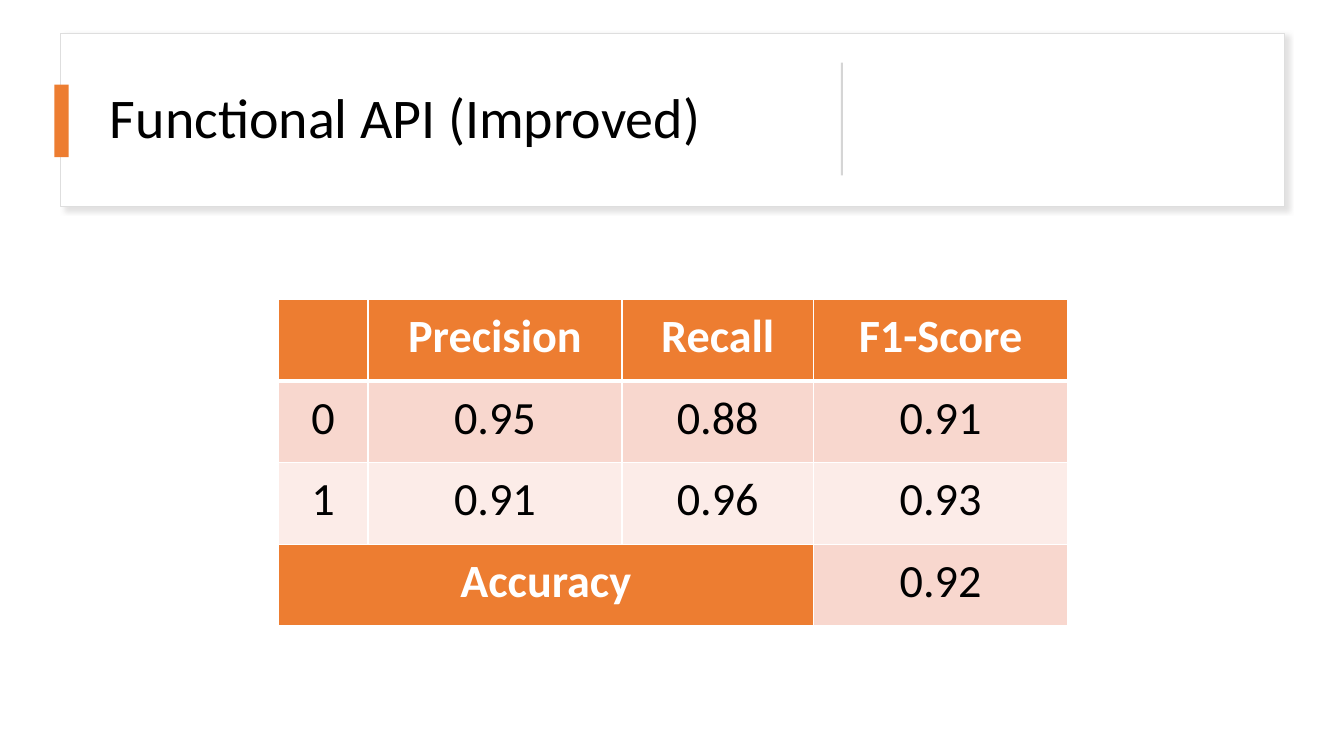
from lxml import etree
from pptx import Presentation
from pptx.dml.color import RGBColor
from pptx.enum.shapes import MSO_SHAPE
from pptx.enum.text import MSO_ANCHOR, MSO_AUTO_SIZE, PP_ALIGN
from pptx.oxml import parse_xml
from pptx.oxml.ns import nsdecls, qn
from pptx.util import Inches, Pt

RECTANGLE = MSO_SHAPE.RECTANGLE
MIDDLE, TOP = MSO_ANCHOR.MIDDLE, MSO_ANCHOR.TOP
NO_AUTOFIT = MSO_AUTO_SIZE.NONE
LEFT, CENTER = PP_ALIGN.LEFT, PP_ALIGN.CENTER

WHITE = RGBColor(0xFF, 0xFF, 0xFF)
BLACK = RGBColor(0x00, 0x00, 0x00)
ORANGE = RGBColor(0xED, 0x7D, 0x31)
ROSE = RGBColor(0xF8, 0xD7, 0xCE)
PALE_ROSE = RGBColor(0xFC, 0xEC, 0xE8)
CARD_EDGE = RGBColor(0xDE, 0xDE, 0xDE)
DIVIDER_GREY = RGBColor(0xD5, 0xD5, 0xD5)
SHADOW_GREY = RGBColor(0xC5, 0xC3, 0xC3)

TITLE_ONLY = 5


def write(frame, text, *, font, size, color=BLACK, bold=False, align=LEFT):
    paragraph = frame.paragraphs[0]
    paragraph.alignment = align
    run = paragraph.add_run()
    run.text = text
    run.font.name = font
    run.font.size = Pt(size)
    run.font.bold = bold
    run.font.color.rgb = color
    return paragraph


def add_border(cell, position, side, width):
    """Insert a white border; borders must come before the cell's fill."""
    border = parse_xml(
        f'<a:{side} {nsdecls("a")} w="{Pt(width)}"><a:solidFill>'
        f'<a:srgbClr val="{WHITE}"/></a:solidFill></a:{side}>')
    cell._tc.get_or_add_tcPr().insert(position, border)


class SlideBuilder:
    font = "Calibri"
    title_size = 40
    table_size = 33

    def __init__(self, slide):
        self.slide = slide

    def title(self, text, left, top, width, height):
        title = self.slide.shapes.title
        title.left, title.top = Inches(left), Inches(top)
        title.width, title.height = Inches(width), Inches(height)
        frame = title.text_frame
        frame.word_wrap = True
        frame.auto_size = NO_AUTOFIT
        frame.vertical_anchor = MIDDLE
        paragraph = write(frame, text, font=self.font, size=self.title_size)
        paragraph.line_spacing = 0.9

    def box(self, left, top, width, height, fill, edge=None):
        box = self.slide.shapes.add_shape(
            RECTANGLE, Inches(left), Inches(top), Inches(width), Inches(height))
        box.shadow.inherit = False
        box.fill.solid()
        box.fill.fore_color.rgb = fill
        if edge is None:
            box.line.fill.background()
        else:
            box.line.color.rgb = edge
            box.line.width = Pt(1)
        return box

    def card(self, left, top, width, height):
        card = self.box(left, top, width, height, WHITE, CARD_EDGE)
        effects = card.element.spPr.find(qn("a:effectLst"))
        shadow = etree.SubElement(
            effects, qn("a:outerShdw"), blurRad=str(Pt(4)), dist=str(Pt(3)),
            dir=str(45 * 60000), algn="tl", rotWithShape="0")
        color = etree.SubElement(shadow, qn("a:srgbClr"), val=str(SHADOW_GREY))
        etree.SubElement(color, qn("a:alpha"), val="50000")
        # The card lies behind the title
        self.slide.shapes.title.element.addprevious(card.element)

    def cell(self, cell, text, fill, is_heading, bottom_border):
        cell.margin_left = cell.margin_right = Inches(0.18)
        cell.margin_top = cell.margin_bottom = Inches(0.09)
        cell.vertical_anchor = TOP
        cell.fill.solid()
        cell.fill.fore_color.rgb = fill
        borders = {"lnL": 1, "lnR": 1, "lnT": 1, "lnB": bottom_border}
        for position, (side, width) in enumerate(borders.items()):
            add_border(cell, position, side, width)
        if text:
            write(cell.text_frame, text, font=self.font, size=self.table_size,
                  color=WHITE if is_heading else BLACK, bold=is_heading,
                  align=CENTER)

    def score_table(self, scores, left, top, column_widths, row_height):
        table = self.slide.shapes.add_table(
            len(scores), len(column_widths), Inches(left), Inches(top),
            Inches(sum(column_widths)), Inches(row_height * len(scores))).table
        table.first_row = table.horz_banding = False
        for column, width in zip(table.columns, column_widths):
            column.width = Inches(width)
        last_row = len(scores) - 1
        last_column = len(column_widths) - 1
        for r, row in enumerate(scores):
            table.rows[r].height = Inches(row_height)
            for c, text in enumerate(row):
                is_heading = r == 0 or (r == last_row and c < last_column)
                band = ROSE if r % 2 else PALE_ROSE
                self.cell(table.cell(r, c), text, ORANGE if is_heading else band,
                          is_heading, bottom_border=3 if r == 0 else 1)
        # The accuracy heading spans all columns but the last
        table.cell(last_row, 0).merge(table.cell(last_row, last_column - 1))


SCORES = [
    ["", "Precision", "Recall", "F1-Score"],
    ["0", "0.95", "0.88", "0.91"],
    ["1", "0.91", "0.96", "0.93"],
    ["Accuracy", "", "", "0.92"],
]

presentation = Presentation()
presentation.slide_width = Inches(13.33)
presentation.slide_height = Inches(7.5)
builder = SlideBuilder(
    presentation.slides.add_slide(presentation.slide_layouts[TITLE_ONLY]))

# Header: card, title, accent bar and divider
builder.card(0.6, 0.33, 12.14, 1.72)
builder.title("Functional API (Improved)", 0.99, 0.44, 7.03, 1.5)
builder.box(0.54, 0.84, 0.14, 0.72, ORANGE)
builder.box(8.34, 0.62, 0.02, 1.12, DIVIDER_GREY)

# Classification scores
builder.score_table(SCORES, 2.76, 2.97, [0.89, 2.52, 1.9, 2.52], 0.81)

presentation.save("out.pptx")
